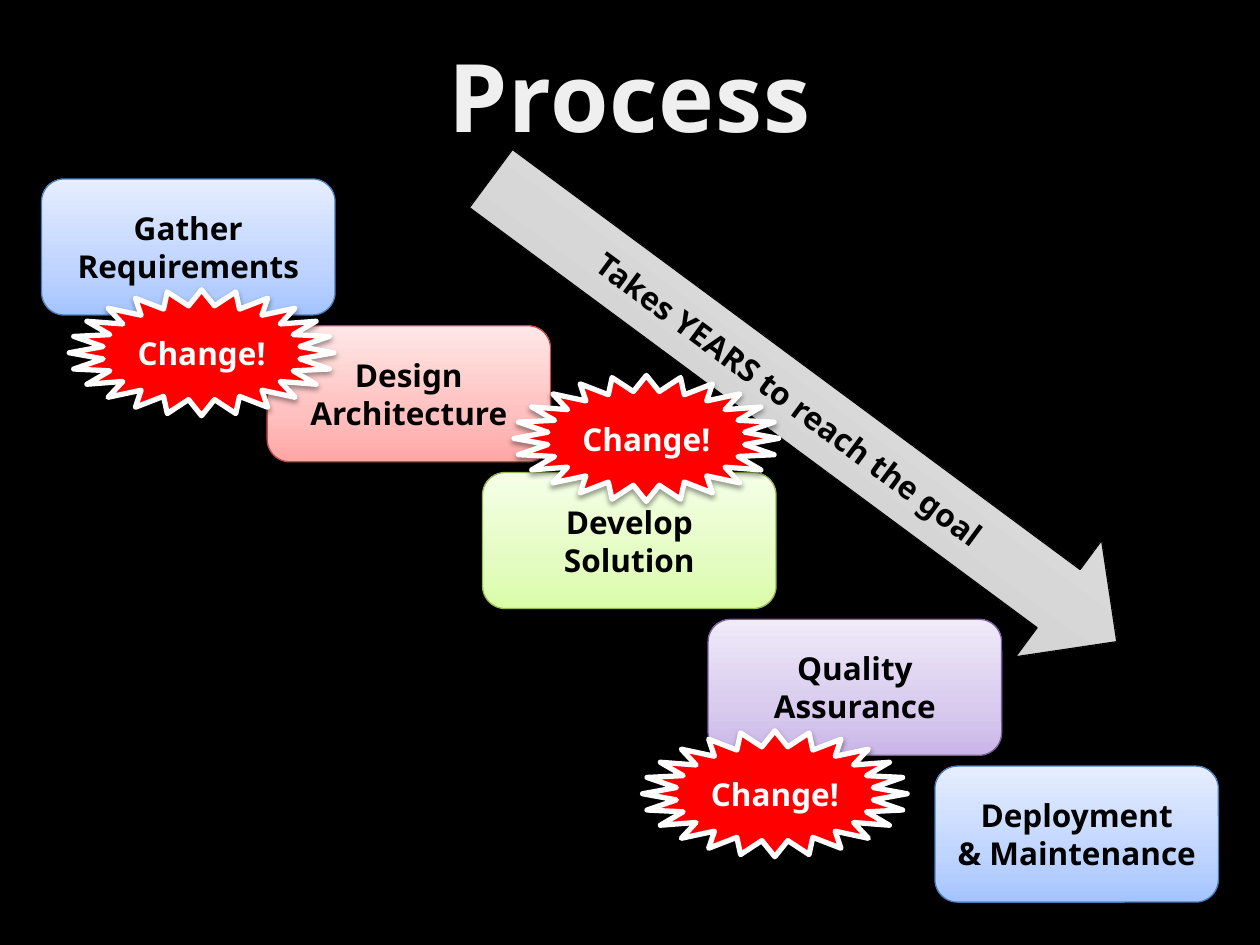
from copy import deepcopy

from pptx import Presentation
from pptx import util as u
from pptx.dml.color import RGBColor
from pptx.enum import shapes, text
from pptx.oxml import parse_xml

FONT = "Noto Sans"
NS = 'xmlns:a="http://schemas.openxmlformats.org/drawingml/2006/main"'
BLACK = RGBColor(0, 0, 0)
WHITE = RGBColor(255, 255, 255)
RED = RGBColor(255, 0, 0)
TITLE_COLOR = RGBColor(0xEF, 0xEF, 0xF0)

# Line colour, then gradient colours from bottom to top
BLUE, ROSE, GREEN, PURPLE, GREY = (
    [RGBColor.from_string(code) for code in codes.split()]
    for codes in (
        "4B7EBC A4C4FF BFD4FF E6EEFF",
        "BF4C48 FFA6A5 FFC0BF FFE7E7",
        "98B955 DAFDA7 E4FCC2 F5FFE7",
        "7D60A0 C9B5E8 D8CBEE F0EAF9",
        "000000 BDBDBD D1D1D1 EEEEEE",
    )
)
SHADOW = (
    f'<a:effectLst {NS}><a:outerShdw blurRad="39400" dist="20300" dir="5400000" '
    'rotWithShape="0"><a:srgbClr val="000000"><a:alpha val="38000"/></a:srgbClr>'
    "</a:outerShdw></a:effectLst>"
)
TITLE_OUTLINE = (
    f'<a:ln {NS} w="13460"><a:solidFill><a:srgbClr val="101A26">'
    '<a:alpha val="6000"/></a:srgbClr></a:solidFill></a:ln>'
)


def add_label_shape(kind, place, lines, color, border, width):
    """Add a shadowed preset shape with centred bold lines of text."""
    shape = page.shapes.add_shape(kind, *map(u.Inches, place))
    shape.line.color.rgb = border
    shape.line.width = u.Pt(width)
    shape._element.spPr.append(parse_xml(SHADOW))
    frame = shape.text_frame
    frame.word_wrap = True
    frame.vertical_anchor = text.MSO_ANCHOR.MIDDLE
    frame.text = "\n".join(lines)
    for para in frame.paragraphs:
        para.alignment = text.PP_ALIGN.CENTER
        para.font.name = FONT
        para.font.size = u.Pt(18)
        para.font.bold = True
        para.font.color.rgb = color
    return shape


def fill_gradient(shape, colors):
    """Fill a shape with three colours running from bottom to top."""
    shape.fill.gradient()
    shape.fill.gradient_angle = 90
    stop_list = shape._element.spPr.find(".//{*}gsLst")
    stop_list.insert(1, deepcopy(stop_list[0]))
    for stop, color, position in zip(shape.fill.gradient_stops, colors, (0, 0.35, 1)):
        stop.color.rgb = color
        stop.position = position


deck = Presentation()
deck.slide_width, deck.slide_height = u.Inches(10), u.Inches(7.5)
page = deck.slides.add_slide(deck.slide_layouts[5])
page.background.fill.solid()
page.background.fill.fore_color.rgb = BLACK

title = page.shapes.title
title.left, title.top = u.Inches(3.41), u.Inches(0.25)
title.width, title.height = u.Inches(3.17), u.Inches(1.01)
title.text_frame.word_wrap = False
title.text_frame.auto_size = text.MSO_AUTO_SIZE.SHAPE_TO_FIT_TEXT
title.text_frame.vertical_anchor = text.MSO_ANCHOR.TOP
para = title.text_frame.paragraphs[0]
para.alignment = text.PP_ALIGN.CENTER
span = para.add_run()
span.text = "Process"
span.font.name = FONT
span.font.size = u.Pt(54)
span.font.bold = True
span.font.color.rgb = TITLE_COLOR
run_props = span._r.get_or_add_rPr()
run_props.set("spc", "50")
run_props.insert(0, parse_xml(TITLE_OUTLINE))

# Each step sits one row lower than the step before it
steps = [
    (0.33, 2.33, BLUE, ("Gather", "Requirements")),
    (2.12, 2.25, ROSE, ("Design", "Architecture")),
    (3.83, 2.33, GREEN, ("Develop", "Solution")),
    (5.62, 2.33, PURPLE, ("Quality", "Assurance")),
    (7.42, 2.25, BLUE, ("Deployment", "& Maintenance")),
]
first_top, last_top = 1.42, 6.08
row_pitch = (last_top - first_top) / (len(steps) - 1)
for row, (left, width, (border, *colors), lines) in enumerate(steps):
    place = (left, first_top + row * row_pitch, width, 1.08)
    box = add_label_shape(
        shapes.MSO_SHAPE.ROUNDED_RECTANGLE, place, lines, BLACK, border, 0.75
    )
    fill_gradient(box, colors)

arrow = add_label_shape(
    shapes.MSO_SHAPE.RIGHT_ARROW, (3.29, 2.68, 6.18, 1.15),
    ["Takes YEARS to reach the goal"], BLACK, GREY[0], 0.75,
)
arrow.rotation = 36.5
fill_gradient(arrow, GREY[1:])

# Bursts overlap the boxes but stay clear of every label
for left, top in ((5.1, 5.8), (4.08, 2.98), (0.55, 2.3)):
    star = add_label_shape(
        shapes.MSO_SHAPE.STAR_24_POINT, (left, top, 2.1, 1), ["Change!"], WHITE, WHITE, 3
    )
    star.text_frame.margin_left = star.text_frame.margin_right = 0
    star.fill.solid()
    star.fill.fore_color.rgb = RED

deck.save("out.pptx")
